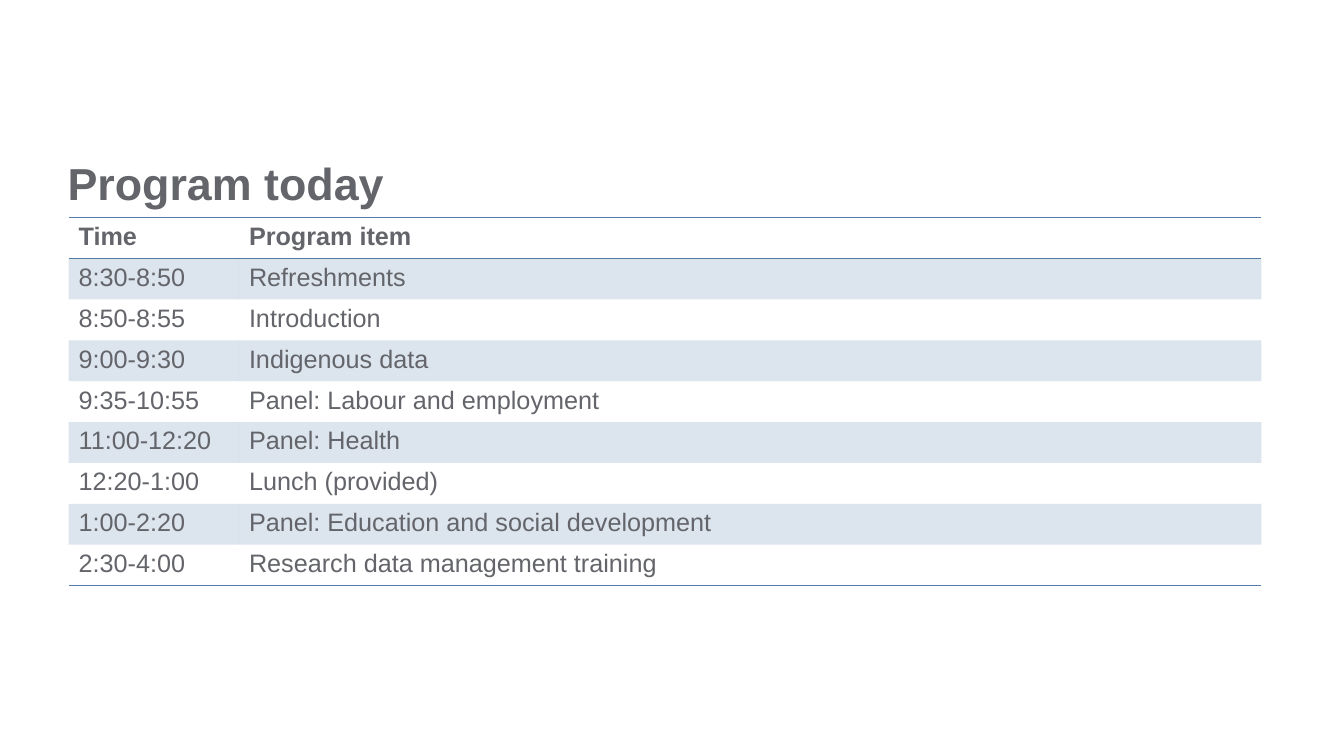
from lxml import etree
from pptx import Presentation
from pptx.dml.color import RGBColor
from pptx.enum.text import MSO_ANCHOR, PP_ALIGN
from pptx.oxml.ns import qn
from pptx.util import Inches, Pt

LEFT = PP_ALIGN.LEFT
BOTTOM = MSO_ANCHOR.BOTTOM
TITLE_ONLY = 5
FONT = "Arial"
COLORS = {"text": "63656A", "accent": "527CA6"}
BAND_OPACITY = 20
PLAIN_TABLE_STYLE = "{2D5ABB26-0587-4C30-8999-92F81FD0307C}"

PROGRAM = [
    ("Time", "Program item"),
    ("8:30-8:50", "Refreshments"),
    ("8:50-8:55", "Introduction"),
    ("9:00-9:30", "Indigenous data"),
    ("9:35-10:55", "Panel: Labour and employment"),
    ("11:00-12:20", "Panel: Health"),
    ("12:20-1:00", "Lunch (provided)"),
    ("1:00-2:20", "Panel: Education and social development"),
    ("2:30-4:00", "Research data management training"),
]


def format_paragraph(paragraph, size, bold):
    paragraph.alignment = LEFT
    font = paragraph.font
    font.name = FONT
    font.size = Pt(size)
    font.bold = bold
    font.color.rgb = RGBColor.from_string(COLORS["text"])


def add_border(cell, side):
    """Draw one edge of a cell; side is "T" or "B"."""
    properties = cell._tc.get_or_add_tcPr()
    line = etree.SubElement(properties, qn(f"a:ln{side}"), w=str(Pt(1)))
    fill = etree.SubElement(line, qn("a:solidFill"))
    etree.SubElement(fill, qn("a:srgbClr"), val=COLORS["accent"])


def fill_band(cell):
    """Give a cell the translucent accent fill."""
    cell.fill.solid()
    cell.fill.fore_color.rgb = RGBColor.from_string(COLORS["accent"])
    color = cell._tc.tcPr.find(qn("a:solidFill")).find(qn("a:srgbClr"))
    etree.SubElement(color, qn("a:alpha"), val=str(BAND_OPACITY * 1000))


def place_title(slide, text, left, top, width, height):
    title = slide.shapes.title
    title.left, title.top = Inches(left), Inches(top)
    title.width, title.height = Inches(width), Inches(height)
    frame = title.text_frame
    frame.text = text
    frame.word_wrap = True
    frame.vertical_anchor = BOTTOM
    format_paragraph(frame.paragraphs[0], 32, True)


def add_program_table(slide, rows, left, top, width, height, time_width):
    graphic_frame = slide.shapes.add_table(
        len(rows), 2, Inches(left), Inches(top), Inches(width), Inches(height))
    for style in graphic_frame.element.iter(qn("a:tableStyleId")):
        style.text = PLAIN_TABLE_STYLE
    table = graphic_frame.table
    table.columns[0].width = Inches(time_width)
    table.columns[1].width = Inches(width - time_width)

    last = len(rows) - 1
    for row_index, row in enumerate(rows):
        for column_index, text in enumerate(row):
            cell = table.cell(row_index, column_index)
            cell.text = text
            format_paragraph(cell.text_frame.paragraphs[0], 18, row_index == 0)
            # Rules above and below the header, and below the last row
            if row_index == 0:
                add_border(cell, "T")
            if row_index in (0, last):
                add_border(cell, "B")
            # Every other body row is shaded
            if row_index % 2:
                fill_band(cell)
            else:
                cell.fill.background()


def main():
    presentation = Presentation()
    presentation.slide_width = Inches(13.33)
    presentation.slide_height = Inches(7.5)
    slide = presentation.slides.add_slide(presentation.slide_layouts[TITLE_ONLY])
    place_title(slide, "Program today", 0.57, 1.49, 12.61, 0.64)
    add_program_table(slide, PROGRAM, 0.68, 2.16, 11.83, 3.65, 1.69)
    presentation.save("out.pptx")


if __name__ == "__main__":
    main()
